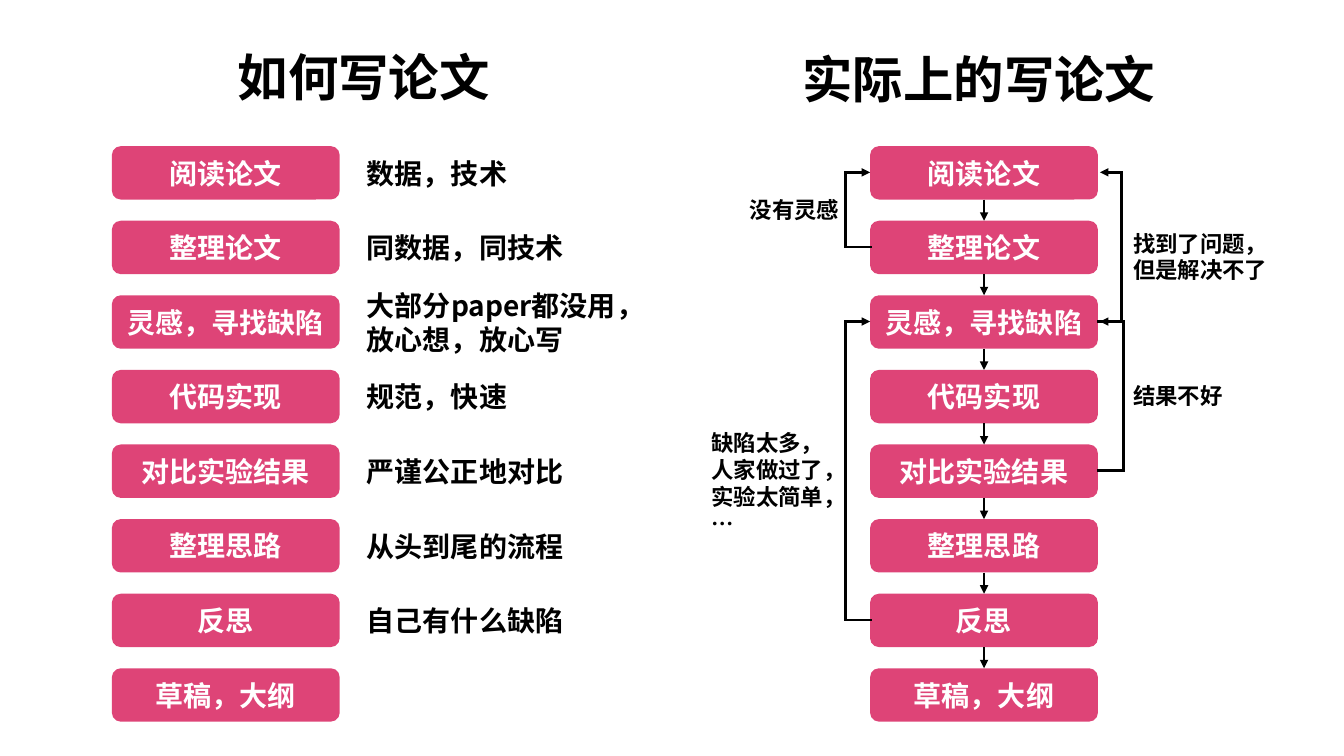
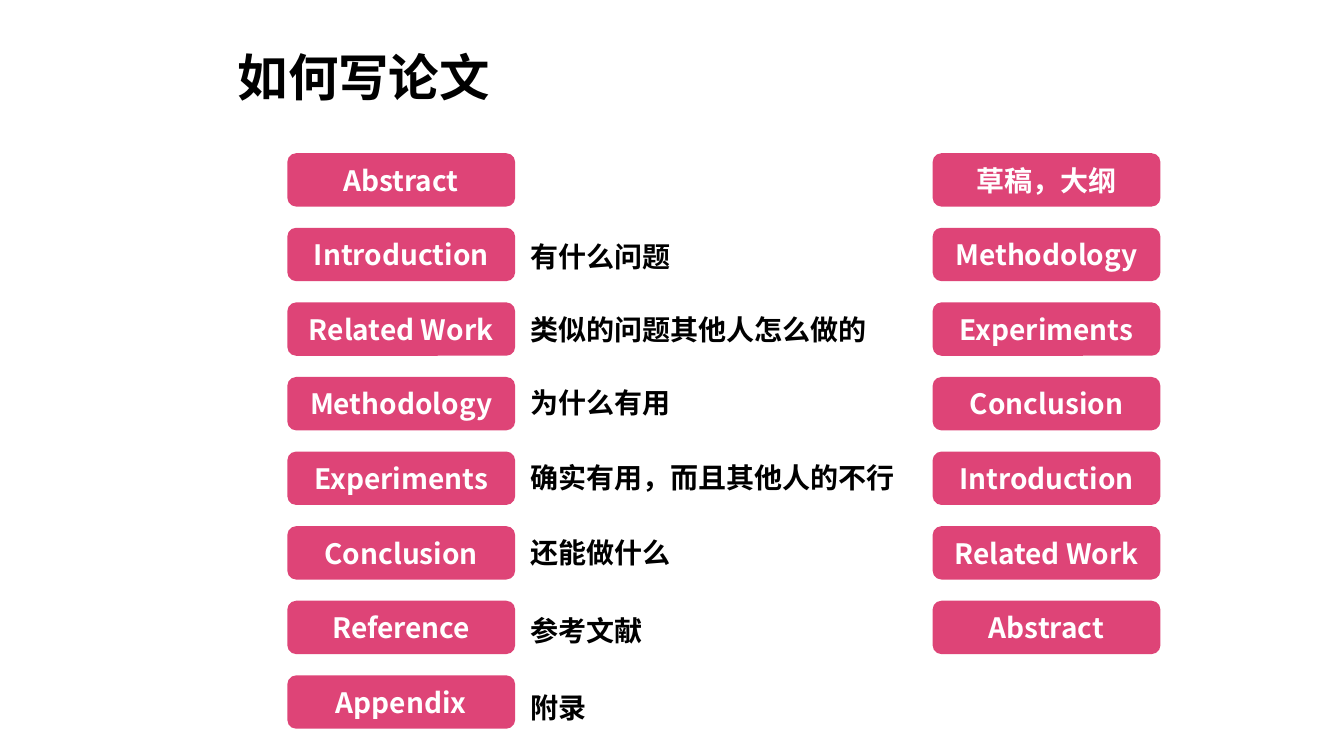
from itertools import pairwise

from lxml import etree
from pptx import Presentation
from pptx.dml.color import RGBColor
from pptx.enum import shapes, text
from pptx.oxml.ns import qn
from pptx.util import Emu, Pt

PX = 9144
FONT = "Noto Sans CJK SC"
PINK = RGBColor(0xDE, 0x44, 0x77)
WHITE = RGBColor(0xFF, 0xFF, 0xFF)
BLACK = RGBColor(0x00, 0x00, 0x00)

BOX_W, BOX_H, PITCH = 226, 53, 74
STEPS = ["阅读论文", "整理论文", "灵感，寻找缺陷", "代码实现",
         "对比实验结果", "整理思路", "反思", "草稿，大纲"]
HINTS = ["数据，技术", "同数据，同技术", "大部分paper都没用，\n放心想，放心写",
         "规范，快速", "严谨公正地对比", "从头到尾的流程", "自己有什么缺陷"]
SECTIONS = ["Abstract", "Introduction", "Related Work", "Methodology",
            "Experiments", "Conclusion", "Reference", "Appendix"]
SECTION_HINTS = [(232, "有什么问题"), (305, "类似的问题其他人怎么做的"),
                 (377, "为什么有用"), (452, "确实有用，而且其他人的不行"),
                 (526, "还能做什么"), (603, "参考文献"), (680, "附录")]
WRITING_ORDER = ["草稿，大纲", "Methodology", "Experiments", "Conclusion",
                 "Introduction", "Related Work", "Abstract"]


def px(*lengths):
    """Turn px lengths into EMU."""
    return [Emu(n * PX) for n in lengths]


def write(sp, content, size=20, color=BLACK, align=text.PP_ALIGN.LEFT,
          anchor=text.MSO_ANCHOR.MIDDLE, spacing=None):
    """Fill a shape with bold text, one paragraph per line."""
    tf = sp.text_frame
    tf.word_wrap = True
    tf.vertical_anchor = anchor
    for i, line in enumerate(content.split("\n")):
        p = tf.add_paragraph() if i else tf.paragraphs[0]
        p.alignment = align
        p.line_spacing = spacing
        r = p.add_run()
        r.text = line
        r.font.name, r.font.size, r.font.bold = FONT, Pt(size), True
        r.font.color.rgb = color
        latin = r.font._element.find(qn("a:latin"))
        latin.addnext(latin.makeelement(qn("a:ea"), {"typeface": FONT}))


def label(slide, content, x, y, w, h, **fmt):
    """Add a text box."""
    write(slide.shapes.add_textbox(*px(x, y, w, h)), content, **fmt)


def title(slide, content, x, y, w):
    """Add a large heading."""
    label(slide, content, x, y, w, 69, size=36, spacing=0.9)


def note(slide, content, x, y, w, h):
    """Add a small remark beside an arrow."""
    label(slide, content, x, y, w, h, size=16, anchor=text.MSO_ANCHOR.TOP)


def box_column(slide, names, x, y):
    """Stack rounded boxes at an equal pitch."""
    for i, name in enumerate(names):
        sp = slide.shapes.add_shape(shapes.MSO_SHAPE.ROUNDED_RECTANGLE,
                                    *px(x, y + i * PITCH, BOX_W, BOX_H))
        sp.shadow.inherit = False
        sp.fill.solid()
        sp.fill.fore_color.rgb = PINK
        sp.line.fill.background()
        write(sp, name, color=WHITE, align=text.PP_ALIGN.CENTER)


def arrow(slide, *points):
    """Draw line segments through the points, with a head on the last."""
    for start, end in pairwise(points):
        c = slide.shapes.add_connector(shapes.MSO_CONNECTOR.STRAIGHT,
                                       *px(*start, *end))
        c.line.color.rgb = BLACK
        c.line.width = Pt(2)
        ln = c.line._get_or_add_ln()
        if end == points[-1]:
            etree.SubElement(ln, qn("a:tailEnd"), type="triangle")
        else:
            ln.set("cap", "sq")
        etree.SubElement(c._element.spPr, qn("a:effectLst"))


def theory_and_practice(slide):
    """Set the ideal steps beside the real flow with its loops."""
    top, left, right = 145, 111, 863
    title(slide, "如何写论文", 226, 45, 304)
    title(slide, "实际上的写论文", 786, 47, 381)
    box_column(slide, STEPS, left, top)
    for i, hint in enumerate(HINTS):
        label(slide, hint, 354, top + i * PITCH, 290, BOX_H)

    box_column(slide, STEPS, right, top)
    center = right + BOX_W // 2
    for i in range(len(STEPS) - 1):
        y = top + i * PITCH
        arrow(slide, (center, y + BOX_H), (center, y + PITCH))

    edge = right + BOX_W
    loops = [(1, 0, right, 839, right), (6, 2, right, 839, right),
             (2, 0, edge, 1112, edge + 2), (4, 2, edge, 1114, edge + 2)]
    for source, target, x, bend, tip in loops:
        y1, y2 = (top + BOX_H // 2 + i * PITCH for i in (source, target))
        arrow(slide, (x, y1), (bend, y1), (bend, y2), (tip, y2))

    note(slide, "没有灵感", 734, 190, 110, 37)
    note(slide, "缺陷太多，\n人家做过了，\n实验太简单，\n…", 696, 421, 155, 118)
    note(slide, "找到了问题，\n但是解决不了", 1114, 223, 160, 64)
    note(slide, "结果不好", 1114, 374, 110, 37)


def paper_sections(slide):
    """Set the sections of a paper beside the order of writing them."""
    top = 152
    title(slide, "如何写论文", 226, 45, 304)
    box_column(slide, SECTIONS, 285, top)
    box_column(slide, WRITING_ORDER, 925, top)
    for y, hint in SECTION_HINTS:
        label(slide, hint, 516, y, 390, 44)


def main():
    """Build and save the presentation."""
    prs = Presentation()
    prs.slide_width, prs.slide_height = px(1333, 750)
    for build in (theory_and_practice, paper_sections):
        build(prs.slides.add_slide(prs.slide_layouts[6]))
    prs.save("out.pptx")


if __name__ == "__main__":
    main()
